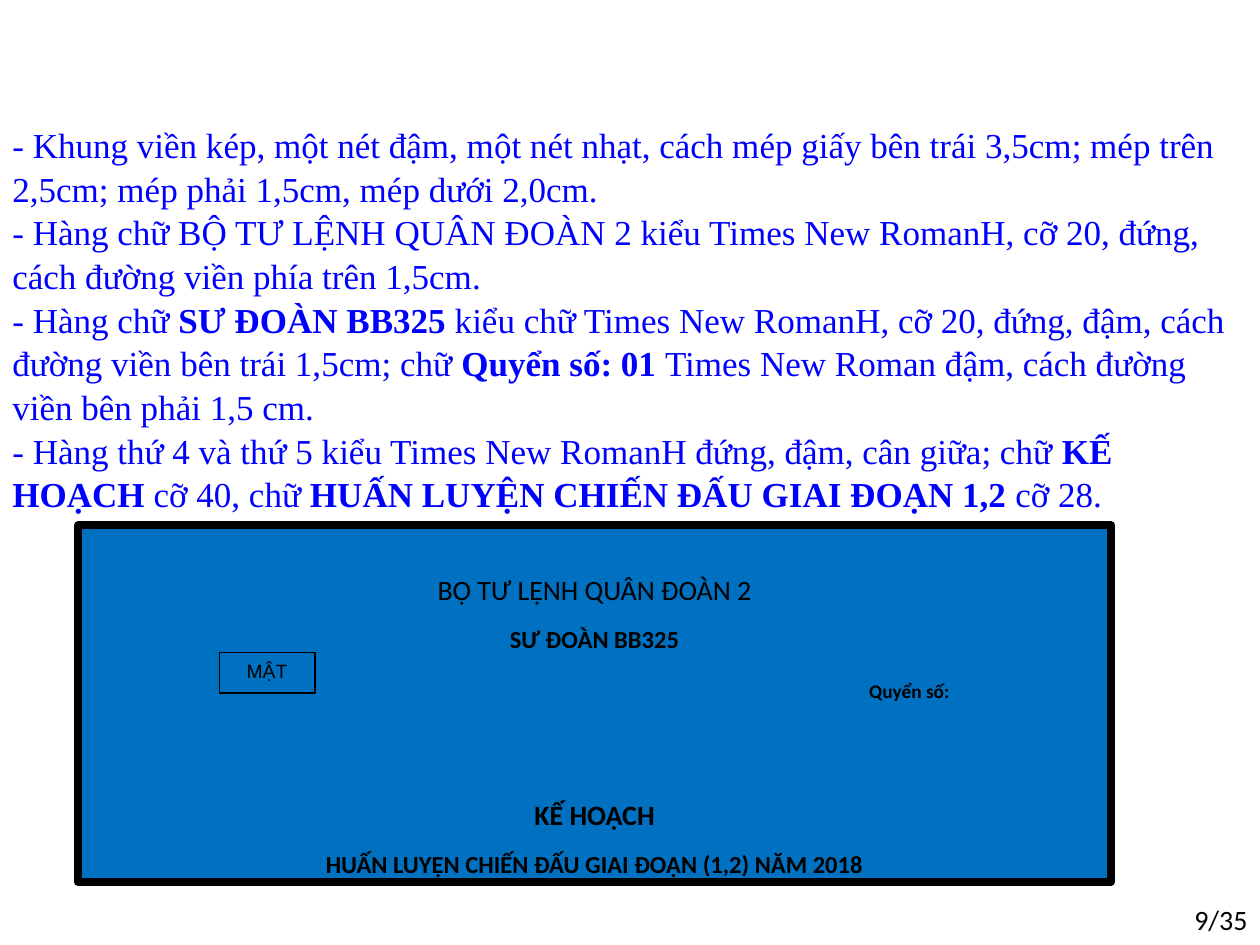
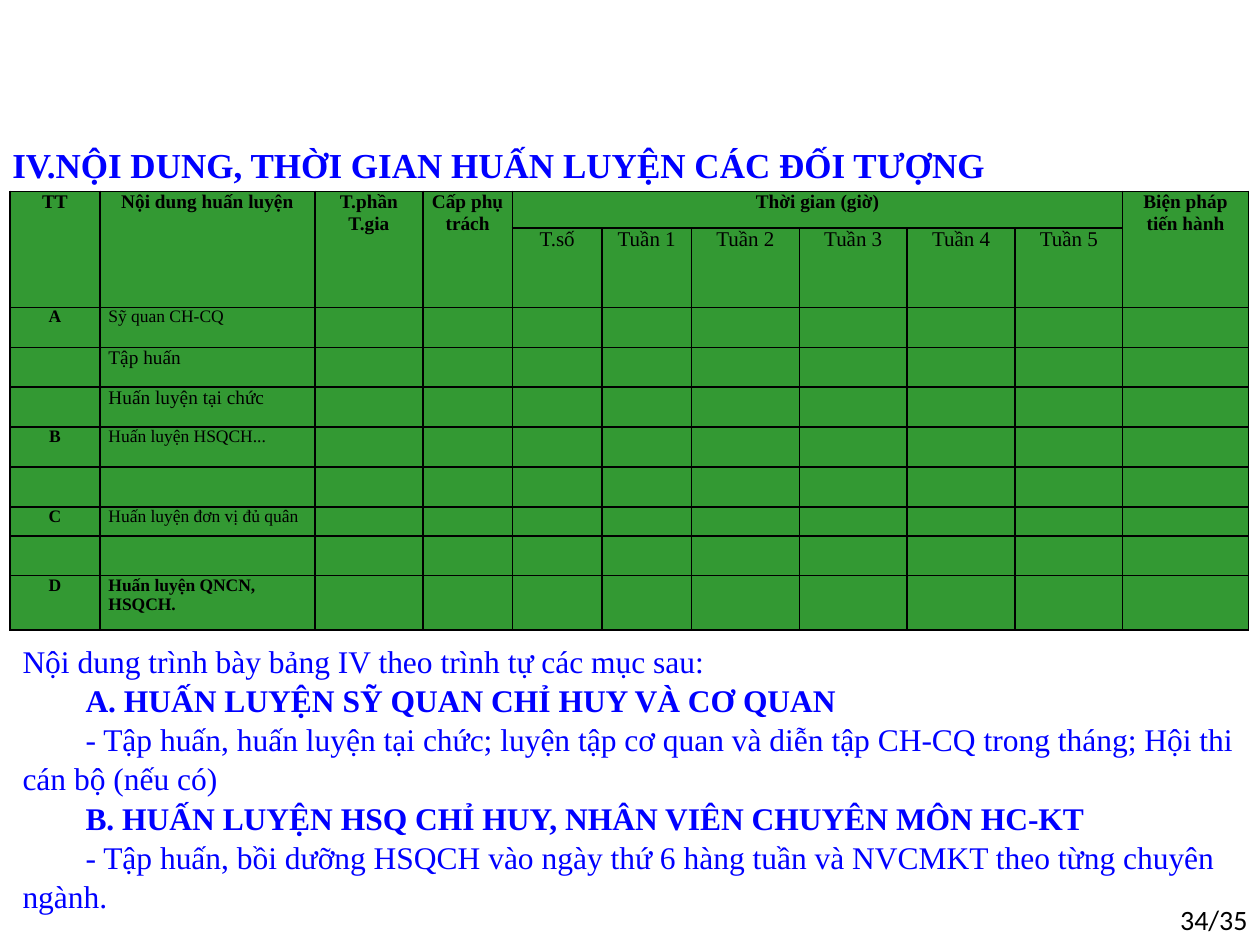
from lxml import etree
from pptx import Presentation
from pptx.dml.color import RGBColor
from pptx.enum import shapes, text
from pptx.oxml import ns
from pptx.util import Pt

# Shared look
BLUE, BLACK, COVER, GREEN = "0000FF", "000000", "0070C0", "339933"
SERIF, SANS = "Times New Roman", "Calibri"
LEFT, CENTER, RIGHT = text.PP_ALIGN.LEFT, text.PP_ALIGN.CENTER, text.PP_ALIGN.RIGHT
BODY = {"name": SERIF, "color": BLUE, "size": 20}
NOTE = {**BODY, "size": 18}
LABEL = {"name": SANS, "color": BLACK, "size": 16}
CELL = {"name": SERIF, "color": BLACK, "size": 11}
TOTAL_PAGES = 35


def rgb(value):
    return RGBColor.from_string(value)


def format_run(r, style):
    for key, value in style.items():
        if key == "color":
            r.font.color.rgb = rgb(value)
        else:
            setattr(r.font, key, Pt(value) if key == "size" else value)


def write(tf, paragraphs, style, **shared):
    """Each paragraph is (content, options); ** in the content toggles bold."""
    tf.word_wrap = True
    tf.vertical_anchor = text.MSO_ANCHOR.TOP
    for i, (content, options) in enumerate(paragraphs):
        p = tf.paragraphs[0] if i == 0 else tf.add_paragraph()
        layout = {"alignment": LEFT, **shared, **options}
        run_style = {**style, **layout.pop("font", {})}
        for key in ("marL", "indent"):
            if key in layout:
                p._p.get_or_add_pPr().set(key, str(Pt(layout.pop(key))))
        for key, value in layout.items():
            setattr(p, key, Pt(value) if key.startswith("space_") else value)
        for j, part in enumerate(content.split("**")):
            if part:
                r = p.add_run()
                r.text = part
                format_run(r, {"bold": j % 2 == 1, **run_style})


def add_text(s, box, paragraphs, style, **shared):
    sp = s.shapes.add_textbox(*map(Pt, box))
    write(sp.text_frame, paragraphs, style, **shared)


def add_box(s, box, line_width, paragraphs, style, **shared):
    sp = s.shapes.add_shape(shapes.MSO_SHAPE.RECTANGLE, *map(Pt, box))
    sp.shadow.inherit = False
    sp.fill.solid()
    sp.fill.fore_color.rgb = rgb(COVER)
    sp.line.color.rgb = rgb(BLACK)
    sp.line.width = Pt(line_width)
    write(sp.text_frame, paragraphs, style, **shared)
    return sp.text_frame


def add_slide(prs, page):
    s = prs.slides.add_slide(prs.slide_layouts[6])
    add_text(s, (648, 512, 72, 28.8), [(f"{page}/{TOTAL_PAGES}", {})],
             LABEL, alignment=RIGHT)
    return s


# Table
def add_borders(cell):
    tc_pr = cell._tc.get_or_add_tcPr()
    for side in ("a:lnL", "a:lnR", "a:lnT", "a:lnB"):
        ln = etree.SubElement(tc_pr, ns.qn(side), w=str(Pt(1)))
        fill = etree.SubElement(ln, ns.qn("a:solidFill"))
        etree.SubElement(fill, ns.qn("a:srgbClr"), val=BLACK)


def add_grid(s, left, top, widths, heights, merges, contents):
    frame = s.shapes.add_table(len(heights), len(widths), Pt(left), Pt(top),
                               Pt(sum(widths)), Pt(sum(heights)))
    table = frame.table
    for column, width in zip(table.columns, widths):
        column.width = Pt(width)
    for row, height in zip(table.rows, heights):
        row.height = Pt(height)
    for first, last in merges:
        table.cell(*first).merge(table.cell(*last))
    for r in range(len(heights)):
        for c in range(len(widths)):
            cell = table.cell(r, c)
            add_borders(cell)
            cell.fill.solid()
            cell.fill.fore_color.rgb = rgb(GREEN)
            cell.margin_left = cell.margin_right = Pt(5)
            cell.margin_top = cell.margin_bottom = 0
            if (r, c) in contents:
                write(cell.text_frame, contents[r, c], CELL)
            else:  # keeps an empty row from growing
                p = cell.text_frame.paragraphs[0]._p
                etree.SubElement(p, ns.qn("a:endParaRPr"), sz="1000")


def training_cells():
    headers = {0: ["TT"], 1: ["Nội dung huấn luyện"], 2: ["T.phần", "T.gia"],
               3: ["Cấp phụ trách"], 4: ["Thời gian (giờ)"],
               10: ["Biện pháp tiến hành"]}
    cells = {(0, c): [(line, {"alignment": CENTER, "font": {"bold": True}})
                      for line in lines] for c, lines in headers.items()}
    times = ["T.số"] + [f"Tuần {week}" for week in range(1, 6)]
    for c, name in enumerate(times, 4):
        cells[1, c] = [(name, {"alignment": CENTER, "font": {"size": 12}})]
    rows = [(2, "A", "Sỹ quan CH-CQ", 10), (3, "", "Tập huấn", 11),
            (4, "", "Huấn luyện tại chức", 11), (5, "B", "Huấn luyện HSQCH...", 10),
            (7, "C", "Huấn luyện đơn vị đủ quân", 10),
            (9, "D", "**Huấn luyện QNCN, HSQCH.**", 10)]
    for r, letter, name, size in rows:
        font = {"font": {"size": size}}
        cells[r, 1] = [(name, font)]
        if letter:
            cells[r, 0] = [(f"**{letter}**", {"alignment": CENTER, **font})]
    return cells


# Slides
def cover_rules(prs):
    s = add_slide(prs, 9)
    rules = [
        "- Khung viền kép, một nét đậm, một nét nhạt, cách mép giấy bên trái 3,5cm; "
        "mép trên 2,5cm; mép phải 1,5cm, mép dưới 2,0cm.",
        "- Hàng chữ BỘ TƯ LỆNH QUÂN ĐOÀN 2 kiểu Times New RomanH, cỡ 20, đứng, "
        "cách đường viền phía trên 1,5cm.",
        "- Hàng chữ **SƯ ĐOÀN BB325 **kiểu chữ Times New RomanH, cỡ 20, đứng, đậm, "
        "cách đường viền bên trái 1,5cm; chữ **Quyển số: 01 **Times New Roman đậm, "
        "cách đường viền bên phải 1,5 cm.",
        "- Hàng thứ 4 và thứ 5 kiểu Times New RomanH đứng, đậm, cân giữa; chữ "
        "**KẾ HOẠCH **cỡ 40, chữ **HUẤN LUYỆN CHIẾN ĐẤU GIAI ĐOẠN 1,2 **cỡ 28."]
    add_text(s, (0, 66.2, 720, 225.4), [(rule, {}) for rule in rules], BODY,
             line_spacing=1.04)
    cover = [
        ("BỘ TƯ LỆNH QUÂN ĐOÀN 2", {}),
        ("**SƯ ĐOÀN BB325**", {"font": {"size": 14}}),
        ("**Quyển số:**", {"alignment": LEFT, "marL": 445, "indent": 0,
                           "space_before": 4.8, "font": {"size": 11}}),
        ("**KẾ HOẠCH**", {"space_before": 44.5}),
        ("**HUẤN LUYỆN CHIẾN ĐẤU GIAI ĐOẠN (1,2) NĂM 2018**", {"font": {"size": 14}})]
    tf = add_box(s, (44.6, 300.2, 590.4, 203.8), 4.5, cover, LABEL,
                 alignment=CENTER, space_after=10)
    tf.margin_top = Pt(27)
    add_box(s, (125.3, 373, 54.7, 23), 0.75, [("MẬT", {})],
            {**LABEL, "name": "Arial", "size": 11}, alignment=CENTER)


def training_plan(prs):
    s = add_slide(prs, 34)
    add_text(s, (0, 77.8, 720, 31.7),
             [("**IV.NỘI DUNG, THỜI GIAN HUẤN LUYỆN CÁC ĐỐI TƯỢNG**", {})], BODY,
             line_spacing=1.04)
    narrow, medium, row = 51.2, 61.6, 22.8
    widths = [narrow, 123, medium] + [narrow] * 3 + [medium] * 4 + [71.8]
    heights = [20.9, 45.4] + [row] * 5 + [16.6, row, 31]
    merges = [((0, c), (1, c)) for c in (0, 1, 2, 3, 10)] + [((0, 4), (0, 9))]
    add_grid(s, 5.8, 109.4, widths, heights, merges, training_cells())
    items = [
        "**A. HUẤN LUYỆN SỸ QUAN CHỈ HUY VÀ CƠ QUAN**",
        "- Tập huấn, huấn luyện tại chức; luyện tập cơ quan và diễn tập CH-CQ "
        "trong tháng; Hội thi cán bộ (nếu có)",
        "**B. HUẤN LUYỆN HSQ CHỈ HUY, NHÂN VIÊN CHUYÊN MÔN HC-KT**",
        "- Tập huấn, bồi dưỡng HSQCH vào ngày thứ 6 hàng tuần và NVCMKT theo từng "
        "chuyên ngành."]
    intro = [("Nội dung trình bày bảng IV theo trình tự các mục sau:", {})]
    add_text(s, (5.8, 362.2, 707.8, 159.8),
             intro + [(item, {"marL": 0, "indent": 36}) for item in items], NOTE,
             line_spacing=1.04)


def main():
    prs = Presentation()
    prs.slide_width, prs.slide_height = Pt(720), Pt(540)
    cover_rules(prs)
    training_plan(prs)
    prs.save("out.pptx")


if __name__ == "__main__":
    main()
